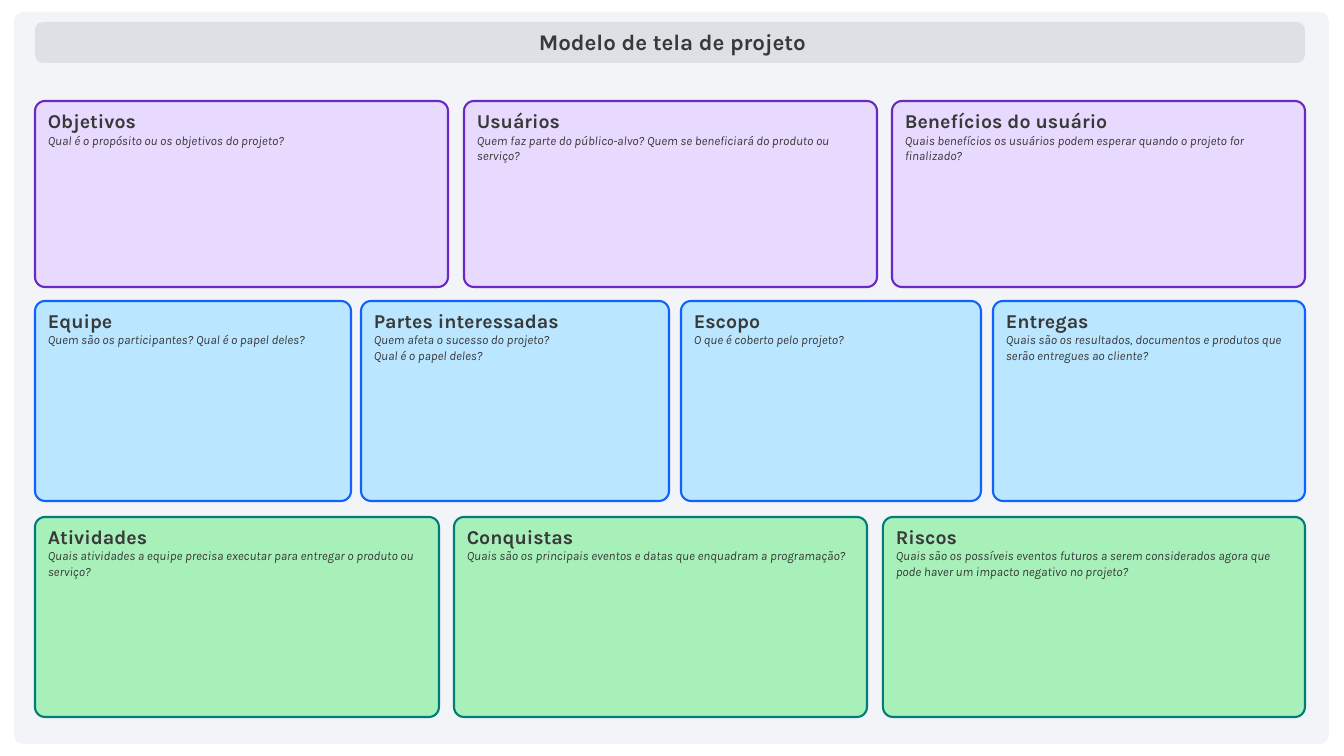
import pptx
import pptx.dml.color
import pptx.enum.shapes
import pptx.enum.text
import pptx.util

PX = 914400 / 100.8
FONT = "Karla"
INK = "393939"

ROWS = [
    (101, 186, "E8DAFF", "6929C4", [
        (35, 413, "Objetivos", "Qual é o propósito ou os objetivos do projeto?"),
        (464, 413, "Usuários",
         "Quem faz parte do público-alvo? Quem se beneficiará do produto ou serviço?"),
        (892, 413, "Benefícios do usuário",
         "Quais benefícios os usuários podem esperar quando o projeto for finalizado?"),
    ]),
    (301, 200, "BAE6FF", "0F62FE", [
        (35, 316, "Equipe", "Quem são os participantes? Qual é o papel deles?"),
        (361, 308, "Partes interessadas",
         "Quem afeta o sucesso do projeto?\vQual é o papel deles?"),
        (681, 300, "Escopo", "O que é coberto pelo projeto?"),
        (993, 312, "Entregas",
         "Quais são os resultados, documentos e produtos que serão entregues ao cliente?"),
    ]),
    (517, 200, "A7F0BA", "007D79", [
        (35, 404, "Atividades",
         "Quais atividades a equipe precisa executar para entregar o produto ou serviço?"),
        (454, 413, "Conquistas",
         "Quais são os principais eventos e datas que enquadram a programação?"),
        (883, 422, "Riscos",
         "Quais são os possíveis eventos futuros a serem considerados agora que "
         "pode haver um impacto negativo no projeto?"),
    ]),
]


def px(length):
    return pptx.util.Emu(round(length * PX))


def color(value):
    return pptx.dml.color.RGBColor.from_string(value)


def style_runs(paragraph, size, bold=False, italic=False):
    for run in paragraph.runs:
        run.font.name = FONT
        run.font.size = pptx.util.Pt(size)
        run.font.bold = bold
        run.font.italic = italic
        run.font.color.rgb = color(INK)


def add_rounded(slide, left, top, width, height, radius, fill, border=None):
    rounded = slide.shapes.add_shape(
        pptx.enum.shapes.MSO_SHAPE.ROUNDED_RECTANGLE,
        px(left), px(top), px(width), px(height))
    rounded.adjustments[0] = radius / min(width, height)
    rounded.shadow.inherit = False
    rounded.fill.solid()
    rounded.fill.fore_color.rgb = color(fill)
    if border:
        rounded.line.color.rgb = color(border)
        rounded.line.width = pptx.util.Pt(1.5)
    else:
        rounded.line.fill.background()
    return rounded


def add_heading(slide, left, top, width, height):
    add_rounded(slide, left, top, width, height, 8, "DDE1E6")
    heading = slide.shapes.title
    heading.element.getparent().append(heading.element)
    heading.left, heading.top = px(left + 329), px(top + 1)
    heading.width, heading.height = px(width - 653), px(height - 4)
    frame = heading.text_frame
    frame.text = "Modelo de tela de projeto"
    frame.word_wrap = True
    frame.auto_size = pptx.enum.text.MSO_AUTO_SIZE.NONE
    frame.vertical_anchor = pptx.enum.text.MSO_ANCHOR.MIDDLE
    frame.paragraphs[0].alignment = pptx.enum.text.PP_ALIGN.CENTER
    style_runs(frame.paragraphs[0], 16, bold=True)


def add_card(slide, left, top, width, height, fill, border, topic, question):
    card = add_rounded(slide, left, top, width, height, 10, fill, border)
    frame = card.text_frame
    frame.word_wrap = True
    frame.vertical_anchor = pptx.enum.text.MSO_ANCHOR.TOP
    frame.text = topic
    prompt = frame.add_paragraph()
    prompt.text = question
    for paragraph in frame.paragraphs:
        paragraph.alignment = pptx.enum.text.PP_ALIGN.LEFT
    style_runs(frame.paragraphs[0], 14, bold=True)
    style_runs(prompt, 9, italic=True)


def add_canvas(deck):
    slide = deck.slides.add_slide(deck.slide_layouts.get_by_name("Title Only"))
    add_rounded(slide, 14, 12, 1315, 732, 9, "F2F4F8")
    add_heading(slide, 35, 22, 1270, 41)
    for top, height, fill, border, cards in ROWS:
        for left, width, topic, question in cards:
            add_card(slide, left, top, width, height, fill, border, topic, question)


def main():
    deck = pptx.Presentation()
    deck.slide_width, deck.slide_height = px(1344), px(756)
    add_canvas(deck)
    deck.save("out.pptx")


if __name__ == "__main__":
    main()
